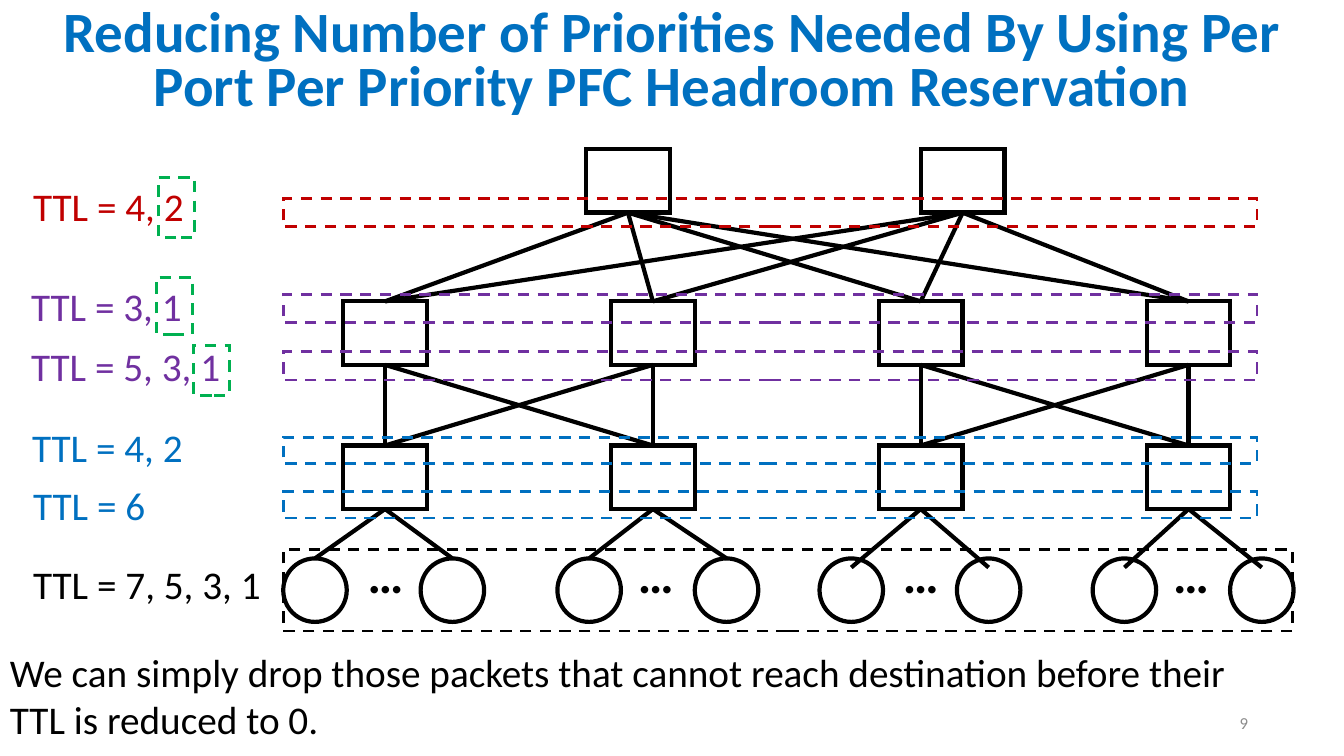
from dataclasses import dataclass
from itertools import product

from lxml import etree
from pptx import Presentation
from pptx import util as u
from pptx.dml.color import RGBColor
from pptx.enum import dml, shapes, text
from pptx.oxml import ns

GRID_COLS, GRID_ROWS = 133.33, 75


@dataclass(frozen=True)
class Theme:
    font: str = "Calibri"
    black: str = "000000"
    blue: str = "0070C0"
    red: str = "C00000"
    purple: str = "7030A0"
    green: str = "00B050"
    grey: str = "8C8C8C"
    title: float = 40.7
    dots: float = 36
    body: float = 28
    number: float = 12
    solid: float = 3
    dashed: float = 2


@dataclass(frozen=True)
class Box:
    col: float
    row: float
    cols: float
    rows: float


@dataclass(frozen=True)
class Label:
    words: str
    box: Box
    color: str


@dataclass(frozen=True)
class Frame:
    box: Box
    color: str


@dataclass(frozen=True)
class HostGroup:
    left: float
    dots: float
    link_row: float


T = Theme()
SWITCH_W, SWITCH_H = 8.3, 6.3
HOST_SIZE, HOST_STEP, HOST_ROW = 6.3, 13.63, 55.4
CORE_ROW, AGG_ROW, EDGE_ROW = 14.8, 29.9, 44.2
CORES = (62.3, 95.5)
PODS = tuple(38.2 + 26.57 * i for i in range(4))
BAND_LEFT, BAND_W = 28.1, 96.6

HOSTS = (
    HostGroup(28.1, 35.5, 55.4),
    HostGroup(55.3, 62.3, 55.4),
    HostGroup(81.3, 88.6, 56.3),
    HostGroup(108.4, 115.4, 56.3),
)
LABELS = (
    Label("TTL = 4, 2", Box(2.3, 17.6, 18.1, 5.7), T.red),
    Label("TTL = 3, 1", Box(2.1, 27.5, 17.2, 5.7), T.purple),
    Label("TTL = 5, 3, 1", Box(2.1, 33.5, 21, 5.7), T.purple),
    Label("TTL = 4, 2", Box(2.2, 41.5, 17.2, 5.7), T.blue),
    Label("TTL = 6", Box(2.3, 47.3, 13.3, 5.7), T.blue),
    Label("TTL = 7, 5, 3, 1", Box(2.3, 55.1, 24.9, 5.7), T.black),
)
FRAMES = (
    Frame(Box(BAND_LEFT, 19.7, BAND_W, 2.8), T.red),
    Frame(Box(BAND_LEFT, 29.2, BAND_W, 2.8), T.purple),
    Frame(Box(BAND_LEFT, 34.9, BAND_W, 2.8), T.purple),
    Frame(Box(BAND_LEFT, 43.4, BAND_W, 2.6), T.blue),
    Frame(Box(BAND_LEFT, 48.8, BAND_W, 2.6), T.blue),
    Frame(Box(BAND_LEFT, 54.5, 100.1, 8.1), T.black),
    Frame(Box(15.7, 17.6, 3.6, 6), T.green),
    Frame(Box(15.5, 27.5, 3.6, 5.7), T.green),
    Frame(Box(19.2, 34.3, 3.6, 4.9), T.green),
)

prs = Presentation()
prs.slide_width, prs.slide_height = u.Inches(13.33), u.Inches(7.5)


def x(cols: float) -> int:
    return round(prs.slide_width * cols / GRID_COLS)


def y(rows: float) -> int:
    return round(prs.slide_height * rows / GRID_ROWS)


def place(box: Box) -> tuple[int, int, int, int]:
    return x(box.col), y(box.row), x(box.cols), y(box.rows)


def add_outline(s, kind, box: Box, color: str = T.black, dashed: bool = False) -> None:
    sp = s.shapes.add_shape(kind, *place(box))
    sp.shadow.inherit = False
    sp.fill.background()
    sp.line.color.rgb = RGBColor.from_string(color)
    sp.line.width = u.Pt(T.dashed if dashed else T.solid)
    if dashed:
        sp.line.dash_style = dml.MSO_LINE.DASH
    if kind == shapes.MSO_SHAPE.RECTANGLE:
        etree.SubElement(sp.line._get_or_add_ln(), ns.qn("a:miter"), lim="800000")


def add_switch(s, center: float, row: float) -> None:
    box = Box(center - SWITCH_W / 2, row, SWITCH_W, SWITCH_H)
    add_outline(s, shapes.MSO_SHAPE.RECTANGLE, box)


def add_link(s, col1: float, row1: float, col2: float, row2: float) -> None:
    cn = s.shapes.add_connector(
        shapes.MSO_CONNECTOR.STRAIGHT, x(col1), y(row1), x(col2), y(row2))
    cn.line.color.rgb = RGBColor.from_string(T.black)
    cn.line.width = u.Pt(T.solid)
    etree.SubElement(cn._element.spPr, ns.qn("a:effectLst"))


def write(sp, words: str, size: float, color: str, bold: bool = False,
          align=text.PP_ALIGN.LEFT, wrap: bool = True) -> None:
    tf = sp.text_frame
    tf.text = words
    tf.word_wrap = wrap
    p = tf.paragraphs[0]
    p.alignment = align
    r = p.runs[0]
    r.font.name, r.font.size, r.font.bold = T.font, u.Pt(size), bold
    r.font.color.rgb = RGBColor.from_string(color)


def add_text(s, box: Box, words: str, size: float, color: str, **style):
    sp = s.shapes.add_textbox(*place(box))
    write(sp, words, size, color, **style)
    return sp


def add_title(s) -> None:
    sp = s.shapes.title
    sp.left, sp.top, sp.width, sp.height = place(Box(2.1, 0, 129.1, 12.5))
    write(sp, "Reducing Number of Priorities Needed By Using Per Port Per Priority "
          "PFC Headroom Reservation", T.title, T.blue, True, text.PP_ALIGN.CENTER)
    sp.text_frame.auto_size = text.MSO_AUTO_SIZE.NONE
    sp.text_frame.vertical_anchor = text.MSO_ANCHOR.MIDDLE
    sp.text_frame.paragraphs[0].line_spacing = 0.8


def add_network(s) -> None:
    for core in CORES:
        add_switch(s, core, CORE_ROW)
    for pod, row in product(PODS, (AGG_ROW, EDGE_ROW)):
        add_switch(s, pod, row)
    for core, pod in product(CORES, PODS):
        add_link(s, core, CORE_ROW + SWITCH_H, pod, AGG_ROW)
    for pair in (PODS[:2], PODS[2:]):
        for upper, lower in product(pair, repeat=2):
            add_link(s, upper, AGG_ROW + SWITCH_H, lower, EDGE_ROW)


def add_hosts(s) -> None:
    for pod, group in zip(PODS, HOSTS):
        for left in (group.left, group.left + HOST_STEP):
            add_outline(s, shapes.MSO_SHAPE.OVAL, Box(left, HOST_ROW, HOST_SIZE, HOST_SIZE))
            add_link(s, left + HOST_SIZE / 2, group.link_row, pod, EDGE_ROW + SWITCH_H)
        add_text(s, Box(group.dots, 53.4, 5.6, 7.1), "…", T.dots, T.black,
                 bold=True, wrap=False)


def main() -> None:
    s = prs.slides.add_slide(prs.slide_layouts[5])
    add_title(s)
    add_network(s)
    add_hosts(s)
    for label in LABELS:
        add_text(s, label.box, label.words, T.body, label.color, wrap=False)
    for frame in FRAMES:
        add_outline(s, shapes.MSO_SHAPE.RECTANGLE, frame.box, frame.color, dashed=True)
    add_text(s, Box(0, 63.8, 128.3, 10.4),
             "We can simply drop those packets that cannot reach destination "
             "before their TTL is reduced to 0.", T.body, T.black)
    number = add_text(s, Box(94.8, 69.7, 30, 4), "9", T.number, T.grey,
                      align=text.PP_ALIGN.RIGHT)
    number.text_frame.vertical_anchor = text.MSO_ANCHOR.MIDDLE
    prs.save("out.pptx")


if __name__ == "__main__":
    main()
